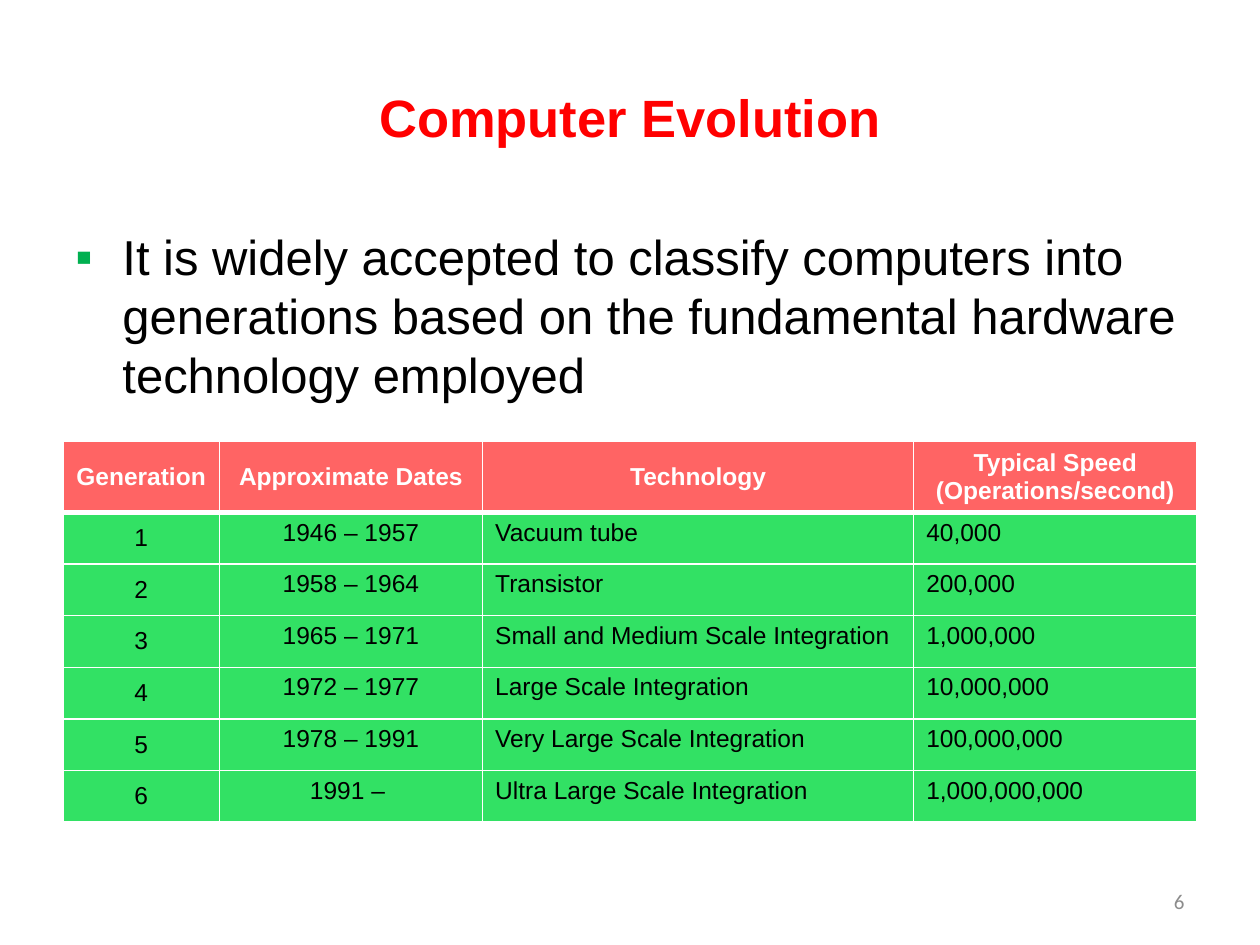
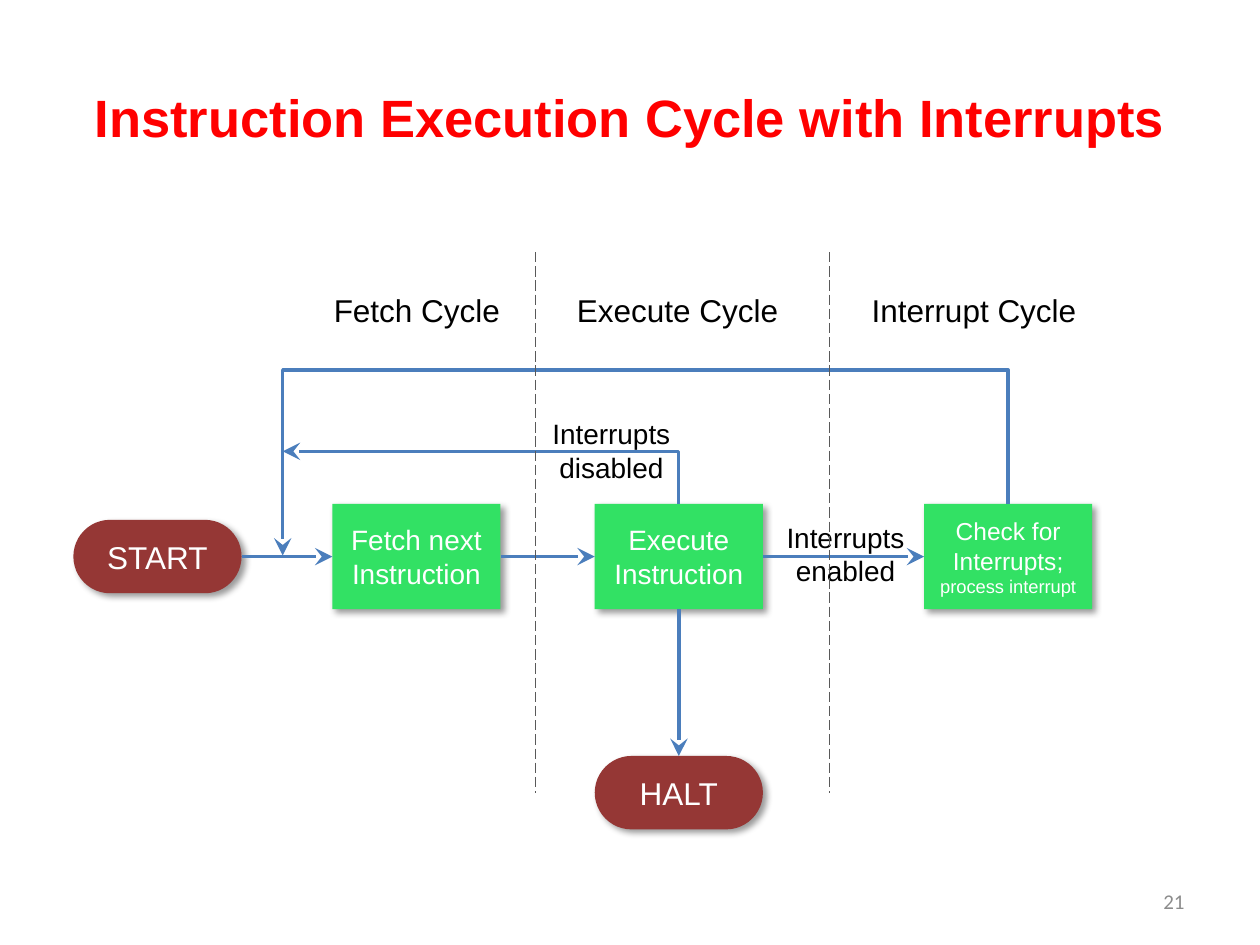
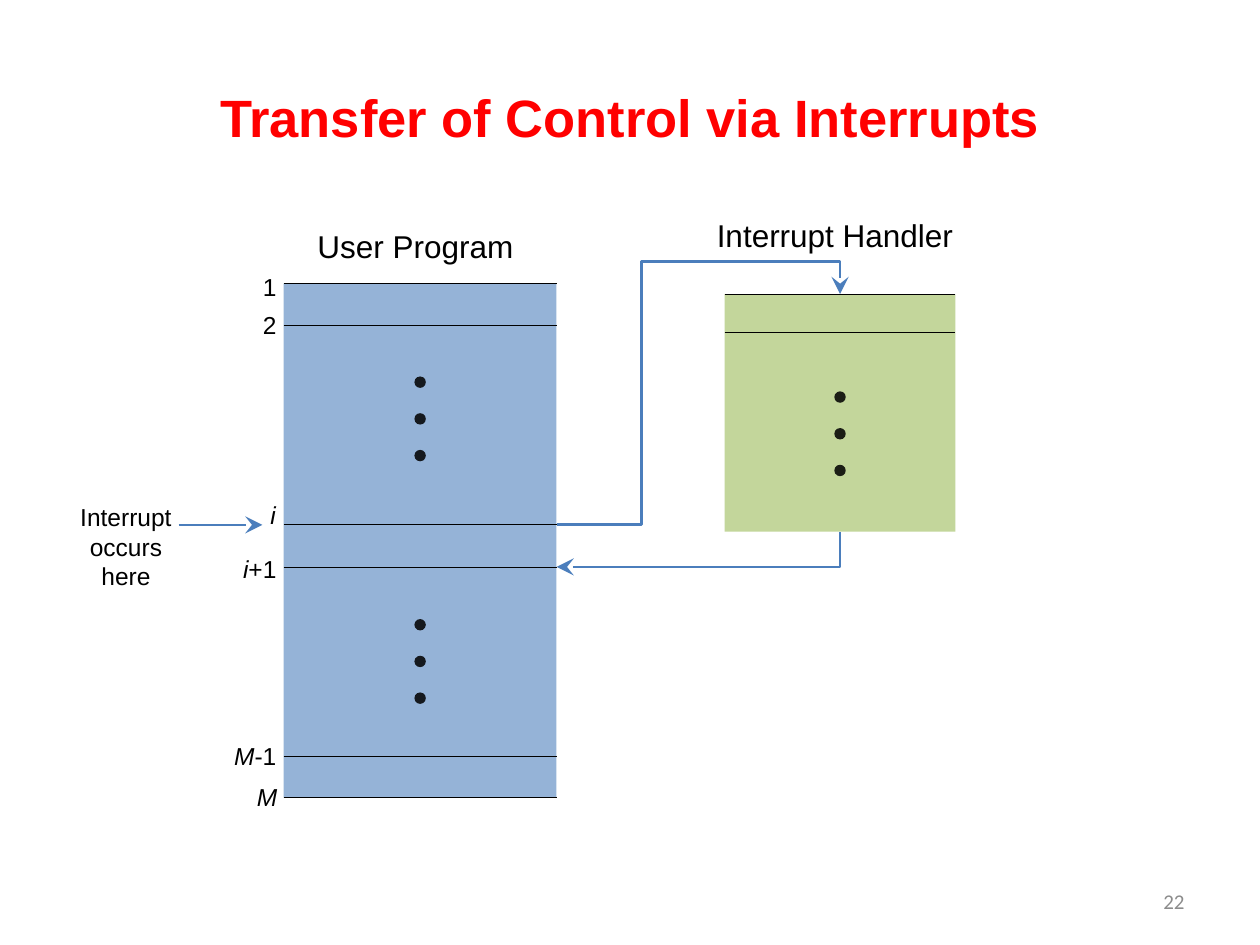
"""Build three slides on computer evolution and interrupts."""
from lxml import etree
from pptx import Presentation
from pptx.dml.color import RGBColor
from pptx.enum.dml import MSO_LINE
from pptx.enum.shapes import MSO_CONNECTOR as Link, MSO_SHAPE as Preset
from pptx.enum.text import MSO_ANCHOR as Anchor, MSO_AUTO_SIZE as AutoSize, PP_ALIGN as Align
from pptx.oxml import parse_xml
from pptx.oxml.ns import nsdecls, qn
from pptx.util import Cm, Pt

RED = RGBColor(0xFF, 0x00, 0x00)
WHITE = RGBColor(0xFF, 0xFF, 0xFF)
BLACK = RGBColor(0x00, 0x00, 0x00)
GRAY = RGBColor(0x8C, 0x8C, 0x8C)
DARK_GRAY = RGBColor(0x59, 0x59, 0x59)
CORAL = RGBColor(0xFF, 0x64, 0x64)
GREEN = RGBColor(0x32, 0xE1, 0x64)
BULLET_GREEN = RGBColor(0x00, 0xB0, 0x50)
MAROON = RGBColor(0x95, 0x37, 0x35)
ARROW_BLUE = RGBColor(0x4B, 0x7E, 0xBC)
PROGRAM_BLUE = RGBColor(0x95, 0xB3, 0xD7)
HANDLER_GREEN = RGBColor(0xC3, 0xD6, 0x9B)

INTRODUCTION = (
    "It is widely accepted to classify computers into generations "
    "based on the fundamental hardware technology employed"
)
GENERATIONS = [
    ("Generation", "Approximate Dates", "Technology", "Typical Speed (Operations/second)"),
    ("1", "1946 – 1957", "Vacuum tube", "40,000"),
    ("2", "1958 – 1964", "Transistor", "200,000"),
    ("3", "1965 – 1971", "Small and Medium Scale Integration", "1,000,000"),
    ("4", "1972 – 1977", "Large Scale Integration", "10,000,000"),
    ("5", "1978 – 1991", "Very Large Scale Integration", "100,000,000"),
    ("6", "1991 – ", "Ultra Large Scale Integration", "1,000,000,000"),
]
COLUMN_WIDTHS = (3.15, 5.31, 8.69, 5.71)
ROW_HEIGHT = 1.04

BOX_WIDTH, BOX_HEIGHT, PILL_HEIGHT = 3.39, 2.12, 1.48
BOX_TOP = 10.16
STEPS = {
    "fetch": (6.7, [("Fetch next Instruction", 16)]),
    "execute": (11.99, [("Execute Instruction", 16)]),
    "check": (18.63, [("Check for Interrupts; ", 14), ("process interrupt", 10.5)]),
}
TERMINALS = {"START": (1.48, 10.48), "HALT": (11.99, 15.24)}
FLOWS = [
    ("execute", 2, "HALT", 0),
    ("START", 3, "fetch", 1),
    ("fetch", 3, "execute", 1),
    ("execute", 3, "check", 1),
]
CYCLES = [
    ("Fetch Cycle", 6.48, 3.89),
    ("Execute Cycle", 11.38, 4.6),
    ("Interrupt Cycle", 17.32, 4.67),
]
INTERRUPT_STATES = [("Interrupts disabled", 10.8, 8.28), ("Interrupts enabled", 15.52, 10.36)]
CYCLE_BORDERS = (10.8, 16.72)

PROGRAM = (5.72, 5.72, 5.5, 10.36)
PROGRAM_LINES = (5.72, 6.56, 10.58, 11.43, 15.24, 16.08)
PROGRAM_DOTS = (7.59, 12.48)
HANDLER = (14.61, 5.93, 4.65, 4.79)
HANDLER_LINES = (5.93, 6.71)
HANDLER_DOTS = (7.89,)
DOT_SIZE, DOT_PITCH = 0.23, 0.74
LABEL_RIGHT = 5.84
ADDRESSES = [
    ([("1", False)], 5.36, 0.79),
    ([("2", False)], 6.12, 0.79),
    ([("i", True)], 9.96, 0.64),
    ([("i", True), ("+1", False)], 11.05, 1.19),
    ([("M", True), ("-1", False)], 14.81, 1.37),
    ([("M", True)], 15.65, 0.91),
]
HEADINGS = [("User Program", 6.15, 4.45, 4.5), ("Interrupt Handler", 14.2, 4.24, 5.33)]


def style(paragraph, size, color=BLACK, align=Align.LEFT, bold=False, font="Arial"):
    paragraph.alignment = align
    paragraph.font.name = font
    paragraph.font.size = Pt(size)
    paragraph.font.bold = bold
    paragraph.font.color.rgb = color


def add_text(slide, box, text, size, wrap=True, **options):
    shape = slide.shapes.add_textbox(*map(Cm, box))
    frame = shape.text_frame
    frame.word_wrap = wrap
    paragraph = frame.paragraphs[0]
    paragraph.text = text
    style(paragraph, size, **options)
    return frame


def add_slide(presentation, title, number):
    slide = presentation.slides.add_slide(presentation.slide_layouts[5])
    heading = slide.shapes.title
    heading.left, heading.top, heading.width, heading.height = map(Cm, (1.27, 0.76, 22.86, 3.18))
    frame = heading.text_frame
    frame.text = title
    frame.auto_size = AutoSize.NONE
    frame.vertical_anchor = Anchor.MIDDLE
    style(frame.paragraphs[0], 30, RED, Align.CENTER, bold=True)
    footer = add_text(slide, (18.2, 17.65, 5.93, 1.02), str(number), 12,
                      color=GRAY, align=Align.RIGHT, font="Calibri")
    footer.vertical_anchor = Anchor.MIDDLE
    return slide


def add_block(slide, preset, box, color):
    shape = slide.shapes.add_shape(preset, *map(Cm, box))
    shape.shadow.inherit = False
    shape.fill.solid()
    shape.fill.fore_color.rgb = color
    shape.line.fill.background()
    return shape


def add_step(slide, preset, box, color, runs):
    shape = add_block(slide, preset, box, color)
    effects = shape._element.spPr.find(qn("a:effectLst"))
    effects.append(parse_xml(
        f'<a:outerShdw {nsdecls("a")} blurRad="50800" dist="38100" dir="2700000" algn="tl" '
        'rotWithShape="0"><a:srgbClr val="000000"><a:alpha val="40000"/></a:srgbClr></a:outerShdw>'
    ))
    frame = shape.text_frame
    frame.word_wrap = True
    frame.vertical_anchor = Anchor.MIDDLE
    paragraph = frame.paragraphs[0]
    style(paragraph, runs[0][1], WHITE, Align.CENTER)
    for text, size in runs:
        run = paragraph.add_run()
        run.text = text
        run.font.size = Pt(size)
    return shape


def add_line(slide, start, end, color, width, arrow=None, kind=Link.STRAIGHT):
    line = slide.shapes.add_connector(kind, *map(Cm, (*start, *end)))
    line.line.color.rgb = color
    line.line.width = Pt(width)
    if arrow:
        etree.SubElement(line.line._get_or_add_ln(), qn(f"a:{arrow}"), type="stealth", w="lg", len="lg")
    etree.SubElement(line._element.spPr, qn("a:effectLst"))
    return line


def add_elbow(slide, start, end, width, begin=None, finish=None, adjustments=(),
              turned=False, flips=("flipV",), arrow="tailEnd"):
    line = add_line(slide, start, end, ARROW_BLUE, width, arrow, Link.ELBOW)
    if begin:
        line.begin_connect(*begin)
    if finish:
        line.end_connect(*finish)
    across, down = abs(end[0] - start[0]), abs(end[1] - start[1])
    if turned:
        across, down = down, across
    line.left = Cm((start[0] + end[0] - across) / 2)
    line.top = Cm((start[1] + end[1] - down) / 2)
    line.width, line.height = Cm(across), Cm(down)
    transform = line._element.spPr.find(qn("a:xfrm"))
    for name in ("flipH", "flipV"):
        transform.set(name, str(int(name in flips)))
    if turned:
        transform.set("rot", "16200000")
    geometry = line._element.spPr.find(qn("a:prstGeom"))
    geometry.set("prst", "bentConnector4" if adjustments else "bentConnector2")
    guides = geometry.get_or_add_avLst()
    for index, value in enumerate(adjustments, 1):
        etree.SubElement(guides, qn("a:gd"), name=f"adj{index}", fmla=f"val {round(value * 100000)}")


def set_borders(cell, bottom):
    properties = cell._tc.get_or_add_tcPr()
    for index, (side, width) in enumerate((("L", 1), ("R", 1), ("T", 1), ("B", bottom))):
        properties.insert(index, parse_xml(
            f'<a:ln{side} {nsdecls("a")} w="{Pt(width)}"><a:solidFill>'
            f'<a:srgbClr val="{WHITE}"/></a:solidFill></a:ln{side}>'
        ))


def build_evolution(presentation):
    slide = add_slide(presentation, "Computer Evolution", 6)
    table = slide.shapes.add_table(
        len(GENERATIONS), len(COLUMN_WIDTHS), Cm(1.27), Cm(8.89),
        Cm(sum(COLUMN_WIDTHS)), Cm(ROW_HEIGHT * len(GENERATIONS))).table
    for column, width in zip(table.columns, COLUMN_WIDTHS):
        column.width = Cm(width)
    for row_index, row in enumerate(GENERATIONS):
        header = row_index == 0
        table.rows[row_index].height = Cm(ROW_HEIGHT)
        for column_index, text in enumerate(row):
            cell = table.cell(row_index, column_index)
            cell.text = text
            cell.fill.solid()
            cell.fill.fore_color.rgb = CORAL if header else GREEN
            cell.vertical_anchor = Anchor.MIDDLE if header or column_index == 0 else Anchor.TOP
            style(cell.text_frame.paragraphs[0], 14, WHITE if header else BLACK,
                  Align.CENTER if header or column_index < 2 else Align.LEFT, bold=header)
            set_borders(cell, 3 if header else 1)
    frame = add_text(slide, (1.27, 4.45, 22.86, 12.57), INTRODUCTION, 28)
    paragraph = frame.paragraphs[0]
    paragraph.space_before = Pt(3)
    properties = paragraph._p.get_or_add_pPr()
    properties.set("marL", str(Cm(0.95)))
    properties.set("indent", str(Cm(-0.95)))
    bullet = (f'<a:buClr {nsdecls("a")}><a:srgbClr val="{BULLET_GREEN}"/></a:buClr>',
              f'<a:buFont {nsdecls("a")} typeface="Arial"/>',
              f'<a:buChar {nsdecls("a")} char="▪"/>')
    for position, part in enumerate(bullet, 1):
        properties.insert(position, parse_xml(part))


def build_cycle(presentation):
    slide = add_slide(presentation, "Instruction Execution Cycle with Interrupts", 21)
    nodes = {}
    for name, (left, runs) in STEPS.items():
        box = (left, BOX_TOP, BOX_WIDTH, BOX_HEIGHT)
        nodes[name] = add_step(slide, Preset.RECTANGLE, box, GREEN, runs)
    for name, (left, top) in TERMINALS.items():
        box = (left, top, BOX_WIDTH, PILL_HEIGHT)
        nodes[name] = add_step(slide, Preset.ROUNDED_RECTANGLE, box, MAROON, [(name, 18)])
        nodes[name].adjustments[0] = 0.5
    for source, source_side, target, target_side in FLOWS:
        arrow = add_line(slide, (0, 0), (1, 1), ARROW_BLUE, 2, "tailEnd")
        arrow.begin_connect(nodes[source], source_side)
        arrow.end_connect(nodes[target], target_side)
    add_elbow(slide, (20.32, BOX_TOP), (5.7, 11.2), 2, begin=(nodes["check"], 0),
              adjustments=(-2.6, 1), turned=True, flips=("flipH", "flipV"))
    add_elbow(slide, (13.68, BOX_TOP), (5.7, 9.1), 2, begin=(nodes["execute"], 0), turned=True)
    for text, left, width in CYCLES:
        add_text(slide, (left, 5.74, width, 1.02), text, 18, wrap=False)
    for text, left, top in INTERRUPT_STATES:
        add_text(slide, (left, top, 3.05, 1.63), text, 16, align=Align.CENTER)
    for x in CYCLE_BORDERS:
        border = add_line(slide, (x, 5.08), (x, 15.98), DARK_GRAY, 0.75)
        border.line.dash_style = MSO_LINE.LONG_DASH


def add_memory(slide, box, color, line_tops, dot_tops):
    left, _, width, _ = box
    block = add_block(slide, Preset.RECTANGLE, box, color)
    for y in line_tops:
        add_line(slide, (left, y), (left + width, y), BLACK, 0.5)
    for top in dot_tops:
        for index in range(3):
            dot_box = (left + (width - DOT_SIZE) / 2, top + index * DOT_PITCH, DOT_SIZE, DOT_SIZE)
            dot = add_block(slide, Preset.OVAL, dot_box, BLACK)
            color_element = dot._element.spPr.find(qn("a:solidFill"))[0]
            etree.SubElement(color_element, qn("a:alpha"), val="86000")
    return block


def build_transfer(presentation):
    slide = add_slide(presentation, "Transfer of Control via Interrupts", 22)
    add_memory(slide, PROGRAM, PROGRAM_BLUE, PROGRAM_LINES, PROGRAM_DOTS)
    for runs, top, width in ADDRESSES:
        frame = add_text(slide, (LABEL_RIGHT - width, top, width, 0.86), "", 14, wrap=False)
        for text, italic in runs:
            run = frame.paragraphs[0].add_run()
            run.text = text
            run.font.italic = italic
    add_text(slide, (1.27, 10, 2.54, 2.06), "Interrupt occurs here", 14, align=Align.CENTER)
    interrupt_y, resume_y = PROGRAM_LINES[2:4]
    add_line(slide, (3.6, interrupt_y), (5.29, interrupt_y), ARROW_BLUE, 1.5, "tailEnd")
    handler = add_memory(slide, HANDLER, HANDLER_GREEN, HANDLER_LINES, HANDLER_DOTS)
    program_right = PROGRAM[0] + PROGRAM[2]
    left, top, width, height = HANDLER
    middle = left + width / 2
    add_elbow(slide, (program_right, interrupt_y), (middle, top), 1.5,
              finish=(handler, 0), adjustments=(0.3, 1.14))
    add_elbow(slide, (program_right, resume_y), (middle, top + height), 1.5,
              finish=(handler, 2), arrow="headEnd")
    for text, left, top, width in HEADINGS:
        add_text(slide, (left, top, width, 1.02), text, 18, wrap=False)


def main():
    presentation = Presentation()
    presentation.slide_width, presentation.slide_height = Cm(25.4), Cm(19.05)
    build_evolution(presentation)
    build_cycle(presentation)
    build_transfer(presentation)
    presentation.save("out.pptx")


if __name__ == "__main__":
    main()
